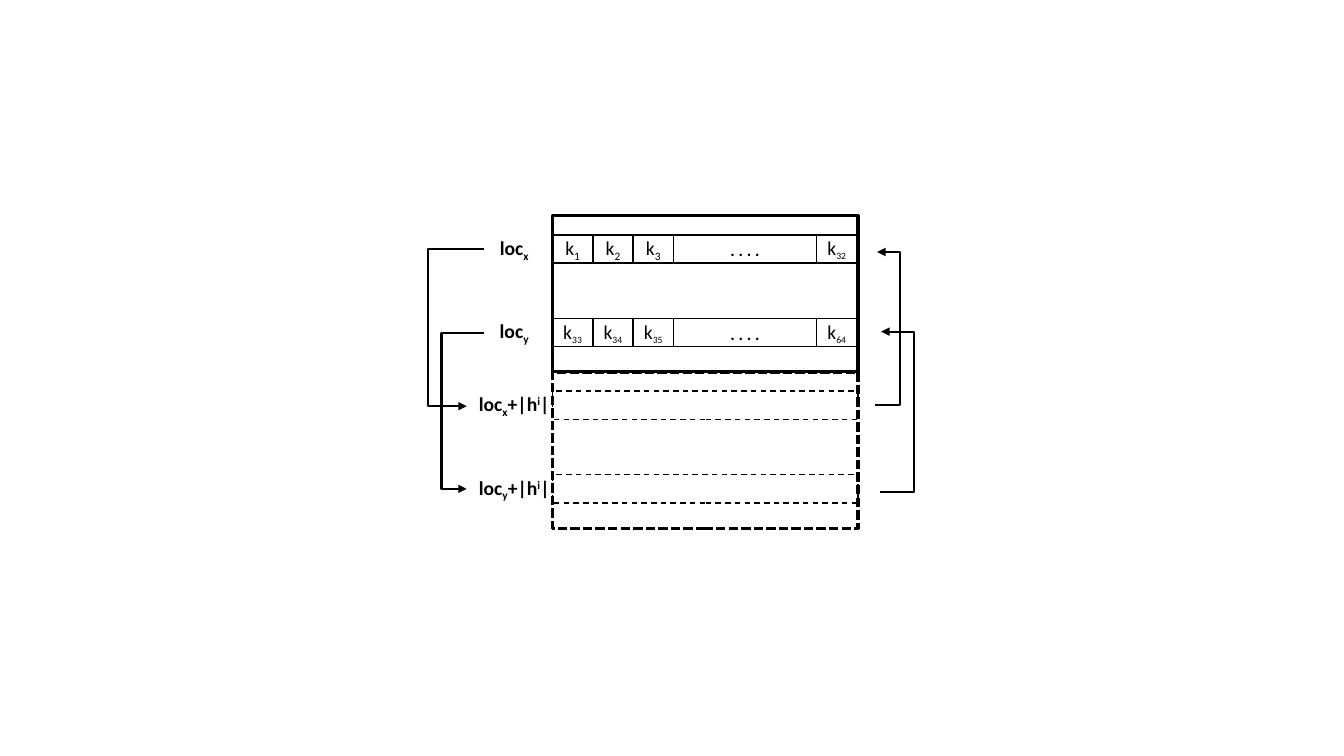
from lxml import etree
from pptx import Presentation
from pptx.dml.color import RGBColor
from pptx.enum.dml import MSO_LINE
from pptx.enum.shapes import MSO_CONNECTOR, MSO_SHAPE
from pptx.enum.text import MSO_ANCHOR, PP_ALIGN
from pptx.oxml.ns import qn
from pptx.util import Inches, Pt

BLACK = RGBColor(0, 0, 0)
WHITE = RGBColor(255, 255, 255)
FONT = "Calibri"
RECTANGLE = MSO_SHAPE.RECTANGLE
ELBOW = MSO_CONNECTOR.ELBOW
DASH, SHORT_DASH = MSO_LINE.DASH, MSO_LINE.SQUARE_DOT
TOP, MIDDLE = MSO_ANCHOR.TOP, MSO_ANCHOR.MIDDLE
CENTER = PP_ALIGN.CENTER
SUBSCRIPT, SUPERSCRIPT = -25, 30

# Memory block geometry, in inches
BLOCK_LEFT, BLOCK_TOP = 5.48, 2.14
BLOCK_WIDTH, BLOCK_HEIGHT = 3.03, 1.55
ROW_OFFSETS = (0.19, 1.02)
ROW_HEIGHT = 0.28
CELL_WIDTH, DOTS_WIDTH = 0.4, 1.42
COLUMN_WIDTHS = (CELL_WIDTH,) * 3 + (DOTS_WIDTH, CELL_WIDTH)

KEY_ROWS = (("1", "2", "3", None, "32"), ("33", "34", "35", None, "64"))
ROW_NAMES = ("x", "y")


def write_text(shape, runs, size=14, bold=False, anchor=MIDDLE, wrap=True, inset=0):
    """Write one centred paragraph of (text, baseline, size or None) runs."""
    frame = shape.text_frame
    frame.word_wrap = wrap
    frame.vertical_anchor = anchor
    frame.margin_left = frame.margin_right = 0
    frame.margin_top = frame.margin_bottom = Inches(inset)
    paragraph = frame.paragraphs[0]
    paragraph.alignment = CENTER
    for text, baseline, run_size in runs:
        run = paragraph.add_run()
        run.text = text
        run.font.name = FONT
        run.font.size = Pt(run_size or size)
        run.font.bold = bold
        run.font.color.rgb = BLACK
        if baseline:
            run.font._element.set("baseline", str(baseline * 1000))


def add_rectangle(slide, box, weight=1, fill=None, dash=None):
    shape = slide.shapes.add_shape(RECTANGLE, *map(Inches, box))
    shape.shadow.inherit = False
    if fill is None:
        shape.fill.background()
    else:
        shape.fill.solid()
        shape.fill.fore_color.rgb = fill
    shape.line.color.rgb = BLACK
    shape.line.width = Pt(weight)
    if dash is not None:
        shape.line.dash_style = dash
    return shape


def add_key_row(slide, left, top, indices):
    """Row of key cells; None stands for the elided keys."""
    for index, width in zip(indices, COLUMN_WIDTHS):
        cell = add_rectangle(slide, (left, top, width, ROW_HEIGHT), fill=WHITE)
        if index is None:
            write_text(cell, [(". . . .", 0, None)], size=12, bold=True,
                       anchor=TOP, inset=0.05)
        else:
            index_size = 12 if len(index) > 1 else None
            write_text(cell, [("k", 0, None), (index, SUBSCRIPT, index_size)])
        left += width


def add_stored_block(slide, left, top, width, height):
    for offset, indices in zip(ROW_OFFSETS, KEY_ROWS):
        add_key_row(slide, left, top + offset, indices)
    add_rectangle(slide, (left, top, width, height), weight=2.25)


def add_extended_block(slide, left, top, width, height):
    add_rectangle(slide, (left, top, width, height), weight=2.25, dash=SHORT_DASH)
    for offset in ROW_OFFSETS:
        add_rectangle(slide, (left, top + offset, width, ROW_HEIGHT), dash=DASH)


def add_row_labels(slide, block_top, left, width, suffix=()):
    height = 0.38
    for offset, name in zip(ROW_OFFSETS, ROW_NAMES):
        top = block_top + offset + (ROW_HEIGHT - height) / 2
        label = slide.shapes.add_textbox(*map(Inches, (left, top, width, height)))
        runs = [("loc", 0, None), (name, SUBSCRIPT, None), *suffix]
        write_text(label, runs, bold=True, wrap=False)


def add_bent_arrow(slide, start, end, bend):
    """Elbow arrow whose vertical leg stands at x = bend."""
    connector = slide.shapes.add_connector(ELBOW, *map(Inches, start + end))
    connector.line.color.rgb = BLACK
    connector.line.width = Pt(1.5)
    properties = connector._element.spPr
    share = (bend - start[0]) / (end[0] - start[0])
    adjustments = properties.find(qn("a:prstGeom")).get_or_add_avLst()
    etree.SubElement(adjustments, qn("a:gd"), name="adj1",
                     fmla=f"val {round(share * 100000)}")
    etree.SubElement(properties.find(qn("a:ln")), qn("a:tailEnd"), type="triangle")
    etree.SubElement(properties, qn("a:effectLst"))


def add_arrows(slide):
    # Left: from each location to its shifted location
    add_bent_arrow(slide, (4.8, 2.47), (4.63, 4.03), 4.25)
    add_bent_arrow(slide, (4.8, 3.3), (4.63, 4.85), 4.38)
    # Right: from the extension back to the stored rows
    add_bent_arrow(slide, (8.68, 4.02), (8.7, 2.5), 8.93)
    add_bent_arrow(slide, (8.73, 4.88), (8.74, 3.29), 9.07)


def main():
    presentation = Presentation()
    presentation.slide_width = Inches(13.33)
    presentation.slide_height = Inches(7.5)
    slide = presentation.slides.add_slide(presentation.slide_layouts[6])

    extension_top = BLOCK_TOP + BLOCK_HEIGHT
    add_stored_block(slide, BLOCK_LEFT, BLOCK_TOP, BLOCK_WIDTH, BLOCK_HEIGHT)
    add_extended_block(slide, BLOCK_LEFT, extension_top, BLOCK_WIDTH, BLOCK_HEIGHT)

    add_row_labels(slide, BLOCK_TOP, left=4.8, width=0.6)
    shift = [("+|h", 0, None), ("i", SUPERSCRIPT, None), ("|", 0, None)]
    add_row_labels(slide, extension_top, left=4.63, width=0.94, suffix=shift)
    add_arrows(slide)
    presentation.save("out.pptx")


if __name__ == "__main__":
    main()
